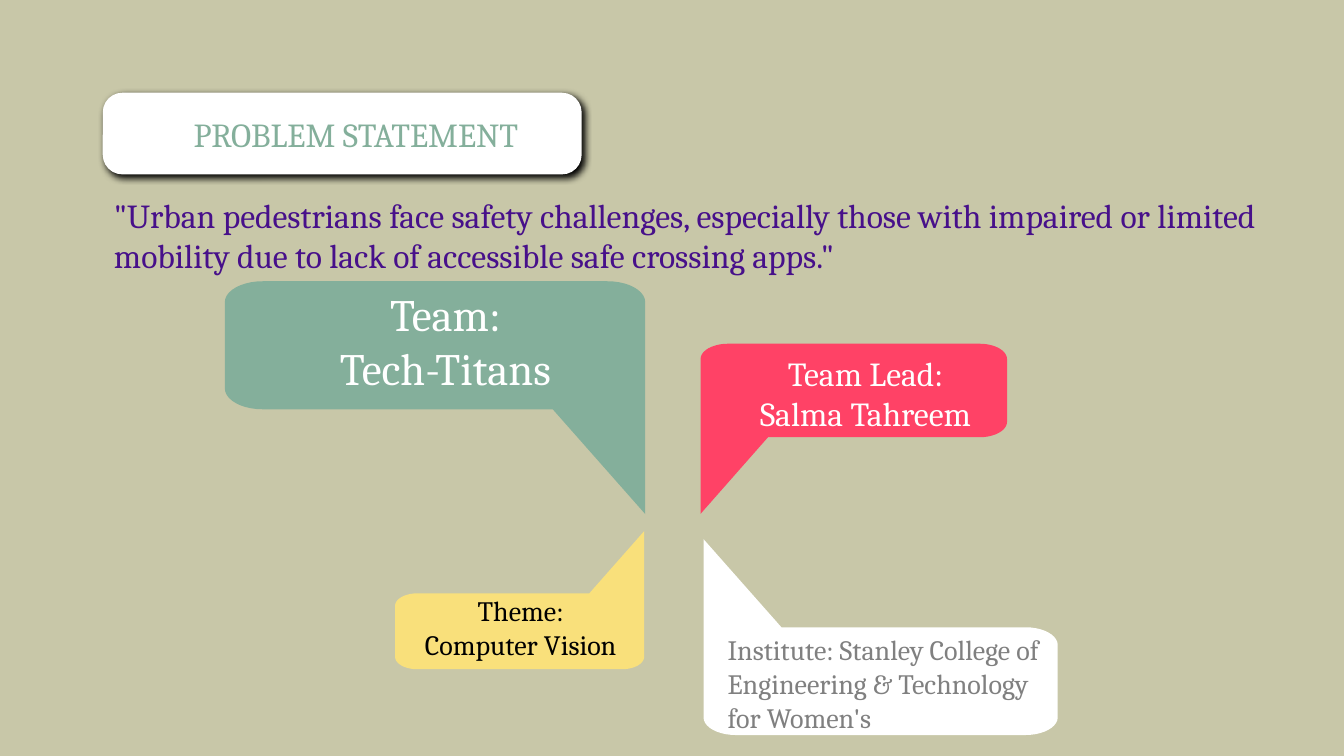
from dataclasses import dataclass
from math import cos, pi, sin

from lxml.etree import SubElement
from pptx import Presentation
from pptx.dml.color import RGBColor
from pptx.enum.shapes import MSO_SHAPE as Preset
from pptx.enum.text import MSO_ANCHOR as Anchor, MSO_AUTO_SIZE as AutoSize, PP_ALIGN as Align
from pptx.oxml.ns import qn
from pptx.util import Inches, Pt


@dataclass(frozen=True)
class Theme:
    font: str = "Cambria"
    background: str = "C8C7A8"
    white: str = "FFFFFF"
    black: str = "000000"
    gray: str = "808080"
    purple: str = "47108A"
    green: str = "84AF9B"
    yellow: str = "F9E07B"
    red: str = "FF4266"
    large: int = 32
    medium: int = 24
    small: int = 20


def set_attributes(target, values):
    for name, value in values.items():
        setattr(target, name, value)


def bubble_outline(radius=0.09, body=0.55, tail=0.78, steps=10):
    """Speech bubble in a unit square, its tail pointing to the bottom right."""
    def corner(x, y, start):
        angles = [start + pi / 2 * step / steps for step in range(steps + 1)]
        return [(x + radius * cos(angle), y + radius * sin(angle)) for angle in angles]

    return [
        *corner(radius, radius, pi),
        *corner(1 - radius, radius, 1.5 * pi),
        (1, 1),
        (tail, body),
        *corner(radius, body - radius, pi / 2),
    ]


class SlideBuilder:
    """Places elements on one slide; boxes are in percent of its width and height."""

    def __init__(self, presentation, theme):
        self.theme = theme
        self.column = presentation.slide_width / 100
        self.row = presentation.slide_height / 100
        self.slide = presentation.slides.add_slide(presentation.slide_layouts[1])
        self.shapes = self.slide.shapes
        self.paint(self.slide.background.fill, theme.background)

    def paint(self, fill, color):
        fill.solid()
        fill.fore_color.rgb = RGBColor.from_string(color)

    def place(self, box):
        left, top, width, height = box
        return [round(left * self.column), round(top * self.row),
                round(width * self.column), round(height * self.row)]

    def set_text(self, shape, text, size, color, align):
        frame = shape.text_frame
        frame.text = text
        set_attributes(frame, {"word_wrap": True, "vertical_anchor": Anchor.TOP,
                               "auto_size": AutoSize.SHAPE_TO_FIT_TEXT})
        for paragraph in frame.paragraphs:
            if shape.is_placeholder:
                properties = paragraph._p.get_or_add_pPr()
                properties.set("marL", "0")
                properties.set("indent", "0")
                SubElement(properties, qn("a:buNone"))
            set_attributes(paragraph, {"alignment": align, "space_before": Pt(0)})
            set_attributes(paragraph.font, {"name": self.theme.font, "size": Pt(size)})
            paragraph.font.color.rgb = RGBColor.from_string(color)

    def placeholder(self, index, box, text, size, color, align=Align.LEFT):
        """Fill a template placeholder and bring it to the front."""
        shape = self.slide.placeholders[index]
        set_attributes(shape, dict(zip(("left", "top", "width", "height"), self.place(box))))
        self.set_text(shape, text, size, color, align)
        self.shapes._spTree.append(shape._element)

    def label(self, box, text, size, color, align=Align.CENTER):
        self.set_text(self.shapes.add_textbox(*self.place(box)), text, size, color, align)

    def bubble(self, box, color, flip_x=False, flip_y=False):
        left, top, width, height = self.place(box)
        points = [(round(left + width * (1 - x if flip_x else x)),
                   round(top + height * (1 - y if flip_y else y)))
                  for x, y in bubble_outline()]
        builder = self.shapes.build_freeform(*points[0])
        builder.add_line_segments(points[1:], close=True)
        shape = builder.convert_to_shape()
        shape.shadow.inherit = False
        self.paint(shape.fill, color)
        shape.line.fill.background()

    def card(self, box, color):
        """Rounded card with a soft shadow to the bottom right."""
        shape = self.shapes.add_shape(Preset.ROUNDED_RECTANGLE, *self.place(box))
        shape.adjustments[0] = 0.24
        self.paint(shape.fill, color)
        shape.line.fill.background()
        shape.shadow.inherit = False
        effects = shape._element.spPr.find(qn("a:effectLst"))
        shadow = SubElement(effects, qn("a:outerShdw"), blurRad=str(Pt(5)), dist=str(Pt(3)),
                            dir=str(45 * 60000), algn="tl", rotWithShape="0")
        SubElement(shadow, qn("a:srgbClr"), val=self.theme.black)


def main():
    presentation = Presentation()
    set_attributes(presentation, {"slide_width": Inches(13.33), "slide_height": Inches(7.5)})
    theme = Theme()
    page = SlideBuilder(presentation, theme)

    page.placeholder(
        1, (7.73, 25.07, 87.75, 12.13),
        '"Urban pedestrians face safety challenges, especially those with impaired or limited '
        'mobility due to lack of accessible safe crossing apps."',
        theme.medium, theme.purple)

    page.bubble((16.73, 37.2, 31.28, 30.8), theme.green)
    page.bubble((29.4, 70.27, 18.53, 18.27), theme.yellow, flip_y=True)
    page.bubble((52.13, 45.47, 22.8, 22.5), theme.red, flip_x=True)
    page.bubble((52.35, 71.33, 26.35, 25.9), theme.white, flip_x=True, flip_y=True)

    page.label((18.68, 37.33, 28.95, 15.73), "Team:\nTech-Titans", theme.large, theme.white)
    page.label((51.23, 46, 26.33, 12.13), "Team Lead:\nSalma Tahreem", theme.medium, theme.white)
    page.label((29.55, 77.87, 18.38, 10.27), "Theme:\nComputer Vision",
               theme.small, theme.black)
    page.label((53.4, 83.07, 25.88, 14.8),
               "Institute: Stanley College of Engineering & Technology for Women's",
               theme.small, theme.gray, Align.LEFT)

    page.card((7.65, 12.27, 35.63, 10.8), theme.white)
    page.placeholder(0, (6.3, 14.4, 40.35, 6.67), "PROBLEM STATEMENT",
                     theme.medium, theme.green, Align.CENTER)

    presentation.save("out.pptx")


if __name__ == "__main__":
    main()
